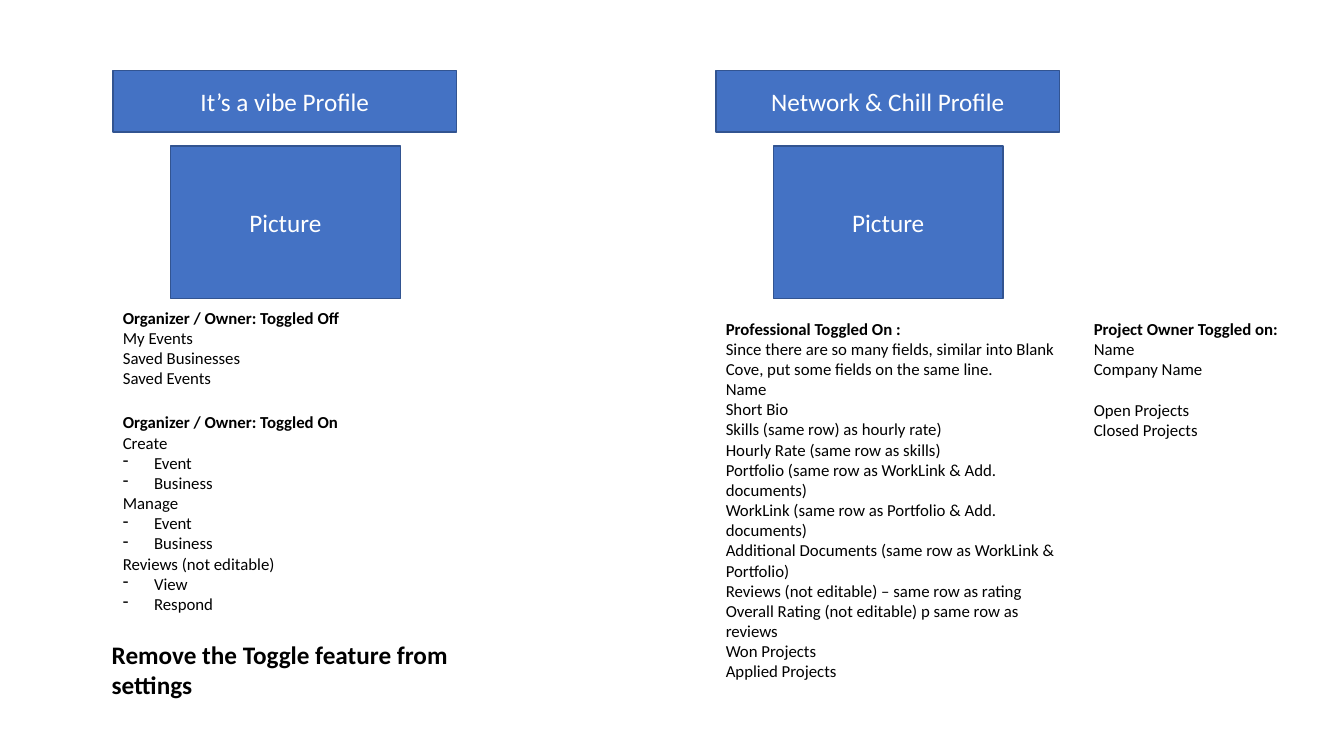
from dataclasses import dataclass

from lxml import etree
from pptx import Presentation
from pptx import util as u
from pptx.dml.color import RGBColor
from pptx.enum import shapes, text
from pptx.oxml.ns import qn


@dataclass(frozen=True)
class Theme:
    font: str = "Calibri"
    fill: RGBColor = RGBColor(0x44, 0x72, 0xC4)
    line: RGBColor = RGBColor(0x32, 0x54, 0x91)
    light: RGBColor = RGBColor(0xFF, 0xFF, 0xFF)
    dark: RGBColor = RGBColor(0, 0, 0)
    large: u.Pt = u.Pt(18)
    body: u.Pt = u.Pt(12)
    gap: u.Pt = u.Pt(14.65)


theme = Theme()


def add_run(p, words, size, color, bold=False):
    r = p.add_run()
    r.text = words
    r.font.name = theme.font
    r.font.size = size
    r.font.bold = bold
    r.font.color.rgb = color


def add_textbox(x, y, w, h):
    tf = s.shapes.add_textbox(u.Inches(x), u.Inches(y), u.Inches(w), u.Inches(h)).text_frame
    tf.word_wrap = True
    tf.auto_size = text.MSO_AUTO_SIZE.SHAPE_TO_FIT_TEXT
    return tf


prs = Presentation()
prs.slide_width, prs.slide_height = u.Inches(13.33), u.Inches(7.5)
s = prs.slides.add_slide(prs.slide_layouts[6])

# Profile columns: a title bar with a centred picture box below
for left, title in ((1.12, "It’s a vibe Profile"), (7.1, "Network & Chill Profile")):
    for label, dx, y, w, h in ((title, 0, 0.7, 3.41, 0.61), ("Picture", 0.57, 1.45, 2.28, 1.51)):
        sp = s.shapes.add_shape(shapes.MSO_SHAPE.RECTANGLE, u.Inches(left + dx),
                                u.Inches(y), u.Inches(w), u.Inches(h))
        sp.shadow.inherit = False
        sp.fill.solid()
        sp.fill.fore_color.rgb = theme.fill
        sp.line.color.rgb = theme.line
        sp.line.width = u.Pt(1)
        tf = sp.text_frame
        tf.vertical_anchor = text.MSO_ANCHOR.MIDDLE
        p = tf.paragraphs[0]
        p.alignment = text.PP_ALIGN.CENTER
        add_run(p, label, theme.large, theme.light)

# Field lists: box, heading, plain fields, or (field, dashed sub-items)
field_lists = [
    ((1.12, 3, 4.14, 0.91), "Organizer / Owner: Toggled Off",
     ["My Events", "Saved Businesses", "Saved Events"]),
    ((1.12, 4.04, 4.14, 2.12), "Organizer / Owner: Toggled On",
     [("Create", ["Event", "Business"]),
      ("Manage", ["Event", "Business"]),
      ("Reviews (not editable)", ["View", "Respond"])]),
    ((7.1, 3.11, 3.65, 3.74), "Professional Toggled On :",
     ["Since there are so many fields, similar into Blank Cove, put some fields on the same line.",
      "Name", "Short Bio",
      "Skills (same row) as hourly rate)",
      "Hourly Rate (same row as skills)",
      "Portfolio (same row as WorkLink & Add. documents)",
      "WorkLink (same row as Portfolio & Add. documents)",
      "Additional Documents (same row as WorkLink & Portfolio)",
      "Reviews (not editable) – same row as rating",
      "Overall Rating (not editable) p same row as reviews",
      "Won Projects", "Applied Projects"]),
    ((10.75, 3.11, 4.14, 1.31), "Project Owner Toggled on:",
     ["Name", "Company Name", "Open Projects", "Closed Projects"]),
]
for box, heading, fields in field_lists:
    tf = add_textbox(*box)
    add_run(tf.paragraphs[0], heading, theme.body, theme.dark, bold=True)
    for field in fields:
        name, items = (field, []) if isinstance(field, str) else field
        p = tf.add_paragraph()
        if name == "Open Projects":
            p.space_before = theme.gap
        add_run(p, name, theme.body, theme.dark)
        for item in items:
            p = tf.add_paragraph()
            add_run(p, item, theme.body, theme.dark)
            pPr = p._p.get_or_add_pPr()
            pPr.set("marL", str(u.Inches(0.31)))
            pPr.set("indent", str(-u.Inches(0.31)))
            etree.SubElement(pPr, qn("a:buChar")).set("char", "-")

# Closing instruction
tf = add_textbox(1.01, 6.29, 4.14, 0.71)
add_run(tf.paragraphs[0], "Remove the Toggle feature from settings", theme.large, theme.dark, bold=True)

prs.save("out.pptx")
